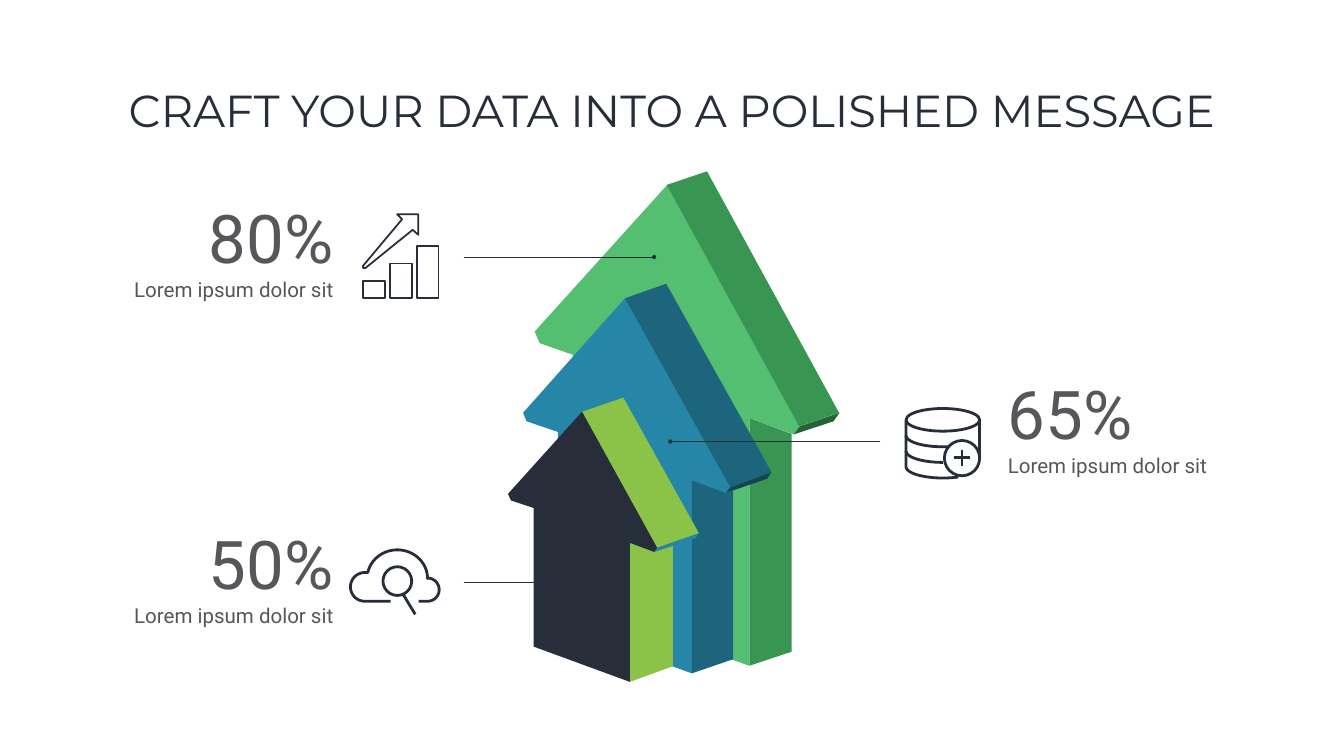
import math

import pptx
import pptx.dml.color
import pptx.enum.shapes
import pptx.enum.text
import pptx.oxml
import pptx.oxml.ns
import pptx.util
from pptx.util import Inches

INK, GREY = "272E3A", "57565A"
ALIGN = pptx.enum.text.PP_ALIGN
SHAPE = pptx.enum.shapes.MSO_SHAPE
NAMESPACE = pptx.oxml.ns.nsdecls("a")

BACK_ARROW = [
    ("399552", [(14.87, 13.21), (14.87, 8.29), (15.71, 8.61), (15.71, 12.93)]),
    ("54BE71", [(15.87, 8.46), (13.24, 3.67), (10.61, 6.58), (10.71, 6.81), (11.37, 7.04),
                (11.37, 11.95), (14.87, 13.21), (14.87, 8.29), (15.75, 8.62)]),
    ("399552", [(16.65, 8.19), (14.03, 3.4), (13.23, 3.67), (15.86, 8.46)]),
    ("266337", [(16.66, 8.19), (15.87, 8.46), (15.75, 8.62), (16.54, 8.36)]),
]
MIDDLE_ARROW = [
    ("2686A7", [(14.49, 9.67), (12.4, 5.92), (10.38, 8.19), (10.45, 8.36), (11.07, 8.57),
                (11.07, 12.4), (13.73, 13.36), (13.73, 9.53), (14.4, 9.78)]),
    ("1C657D", [(15.31, 9.37), (13.22, 5.63), (12.4, 5.92), (14.49, 9.67)]),
    ("134354", [(14.49, 9.67), (15.31, 9.37), (15.22, 9.5), (14.4, 9.78)]),
    ("1C657D", [(13.73, 13.36), (13.73, 9.53), (14.4, 9.78), (14.55, 9.73), (14.55, 13.08)]),
]
FRONT_ARROW = [
    ("8BC248", [(12.5, 13.53), (12.5, 10.77), (12.98, 10.95), (13.35, 10.83), (13.35, 13.22)]),
    ("8BC248", [(13.87, 10.58), (12.37, 7.89), (11.55, 8.17), (13.04, 10.87)]),
    ("2686A7", [(12.98, 10.95), (13.8, 10.68), (13.87, 10.58), (13.04, 10.87)]),
    (INK, [(13.04, 10.87), (11.55, 8.17), (10.08, 9.8), (10.14, 9.93), (10.59, 10.08),
           (10.59, 12.83), (12.5, 13.53), (12.5, 10.77), (12.98, 10.95)]),
]
CALLOUTS = [
    ("80%", 1.52, 3.85, ALIGN.RIGHT, 9.2, 12.98, 5.1),
    ("50%", 1.52, 10.31, ALIGN.RIGHT, 9.2, 11.31, 11.55),
    ("65%", 19.9, 7.34, ALIGN.LEFT, 17.47, 13.3, 8.76),
]


def color(value):
    """Turn a hex string into a colour."""
    return pptx.dml.color.RGBColor.from_string(value)


def paint(shape, fill=None, width=None):
    """Set the fill and outline of a shape and remove its shadow."""
    shape.shadow.inherit = False
    if fill:
        shape.fill.solid()
        shape.fill.fore_color.rgb = color(fill)
    else:
        shape.fill.background()
    if width:
        shape.line.color.rgb = color(INK)
        shape.line.width = pptx.util.Pt(width)
    else:
        shape.line.fill.background()


def add_outline(shapes, points, fill=None, width=None, close=True):
    """Draw a freeform through points given in inches."""
    corners = [(Inches(x), Inches(y)) for x, y in points]
    builder = shapes.build_freeform(*corners[0])
    builder.add_line_segments(corners[1:], close=close)
    paint(builder.convert_to_shape(), fill, width)


def add_preset(shapes, kind, left, top, width, height, weight):
    """Draw an unfilled preset shape."""
    shape = shapes.add_shape(kind, Inches(left), Inches(top), Inches(width), Inches(height))
    paint(shape, None, weight)


def add_ellipse(shapes, x, y, radius_x, radius_y, weight=4):
    """Draw an unfilled ellipse around a centre."""
    add_preset(shapes, SHAPE.OVAL, x - radius_x, y - radius_y, 2 * radius_x, 2 * radius_y, weight)


def add_line(shapes, start, end, weight, dot=False):
    """Draw a straight line, with a dot at its end if wanted."""
    ends = [Inches(value) for value in (*start, *end)]
    line = shapes.add_connector(pptx.enum.shapes.MSO_CONNECTOR.STRAIGHT, *ends)
    line.line.color.rgb = color(INK)
    line.line.width = pptx.util.Pt(weight)
    if dot:
        line.line._get_or_add_ln().append(pptx.oxml.parse_xml(f'<a:tailEnd {NAMESPACE} type="oval"/>'))
    line._element.spPr.append(pptx.oxml.parse_xml(f"<a:effectLst {NAMESPACE}/>"))


def add_text(page, left, top, width, height, lines, align, **frame_format):
    """Add a text box with one paragraph for each (text, font format) pair."""
    box = page.shapes.add_textbox(Inches(left), Inches(top), Inches(width), Inches(height))
    frame = box.text_frame
    for name, value in {"word_wrap": True, **frame_format}.items():
        setattr(frame, name, value)
    for index, (text, font_format) in enumerate(lines):
        para = frame.add_paragraph() if index else frame.paragraphs[0]
        para.alignment = align
        span = para.add_run()
        span.text = text
        span.font.color.rgb = color(font_format["color"])
        for name in ("name", "size"):
            setattr(span.font, name, font_format[name])
    return box


def font(name, size, value):
    """Describe a font."""
    return {"name": name, "size": pptx.util.Pt(size), "color": value}


def arc(x, y, radius_x, radius_y, start, end, steps=36):
    """List points on an elliptical arc, clockwise from the right in degrees."""
    angles = [math.radians(start + (end - start) * step / steps) for step in range(steps + 1)]
    return [(x + radius_x * math.cos(angle), y + radius_y * math.sin(angle)) for angle in angles]


def add_arrow(page, faces):
    """Group the coloured faces of one solid arrow."""
    shapes = page.shapes.add_group_shape().shapes
    for fill, points in faces:
        add_outline(shapes, points, fill)


def add_growth_icon(page):
    """Draw rising bars below a slanting arrow."""
    shapes = page.shapes.add_group_shape().shapes
    for index, top in enumerate((5.57, 5.23, 4.88)):
        add_preset(shapes, SHAPE.RECTANGLE, 7.21 + 0.53 * index, top, 0.43, 5.92 - top, 2.5)
    arrow = [(7.2, 5.28), (7.98, 4.35), (7.88, 4.25), (8.3, 4.25), (8.3, 4.66), (8.19, 4.56),
             (7.25, 5.32), (7.21, 5.32)]
    add_outline(shapes, arrow, width=2.5)


def add_cloud_icon(page):
    """Draw a cloud with a magnifier in front."""
    shapes = page.shapes.add_group_shape().shapes
    cloud = [(7.75, 11.93), *arc(7.24, 11.645, 0.285, 0.285, 90, 270),
             *arc(7.885, 11.48, 0.6, 0.57, 192, 360),
             *arc(8.485, 11.7, 0.23, 0.23, -90, 90), (8.31, 11.93)]
    add_outline(shapes, cloud, width=4, close=False)
    add_ellipse(shapes, 7.885, 11.53, 0.285, 0.285)
    add_line(shapes, (8.01, 11.81), (8.24, 12.19), 4)


def add_database_icon(page):
    """Draw a stack of discs with a plus badge."""
    shapes = page.shapes.add_group_shape().shapes
    x, radius_x, radius_y = 18.71, 0.73, 0.225
    add_ellipse(shapes, x, 8.33, radius_x, radius_y)
    for y, end in ((8.64, 80), (8.95, 90)):
        add_outline(shapes, arc(x, y, radius_x, radius_y, 180, end), width=4, close=False)
    side = [(x - radius_x, 8.33), *arc(x, 9.26, radius_x, radius_y, 180, 65)]
    add_outline(shapes, side, width=4, close=False)
    add_line(shapes, (x + radius_x, 8.33), (x + radius_x, 9.09), 4)
    add_ellipse(shapes, 19.09, 9.09, 0.35, 0.35)
    add_line(shapes, (18.93, 9.08), (19.25, 9.08), 4)
    add_line(shapes, (19.09, 8.92), (19.09, 9.25), 4)


def main():
    """Build the slide and save it."""
    deck = pptx.Presentation()
    deck.slide_width, deck.slide_height = Inches(26.67), Inches(15)
    page = deck.slides.add_slide(deck.slide_layouts[6])
    title = add_text(page, 1.83, 0.8, 23, 2.9,
                     [("CRAFT YOUR DATA INTO A POLISHED MESSAGE", font("Montserrat", 64, INK))],
                     ALIGN.CENTER, vertical_anchor=pptx.enum.text.MSO_ANCHOR.MIDDLE)
    title.text_frame.paragraphs[0].line_spacing = 0.9
    for faces in (BACK_ARROW, MIDDLE_ARROW, FRONT_ARROW):
        add_arrow(page, faces)
    for value, left, top, align, start, end, y in CALLOUTS:
        lines = [(value, font("Roboto", 96, GREY)),
                 ("Lorem ipsum dolor sit", font("Roboto", 29.3, GREY))]
        add_text(page, left, top, 5.19, 2.21, lines, align,
                 auto_size=pptx.enum.text.MSO_AUTO_SIZE.SHAPE_TO_FIT_TEXT)
        add_line(page.shapes, (start, y), (end, y), 0.75, dot=True)
    add_growth_icon(page)
    add_cloud_icon(page)
    add_database_icon(page)
    deck.save("out.pptx")


if __name__ == "__main__":
    main()
